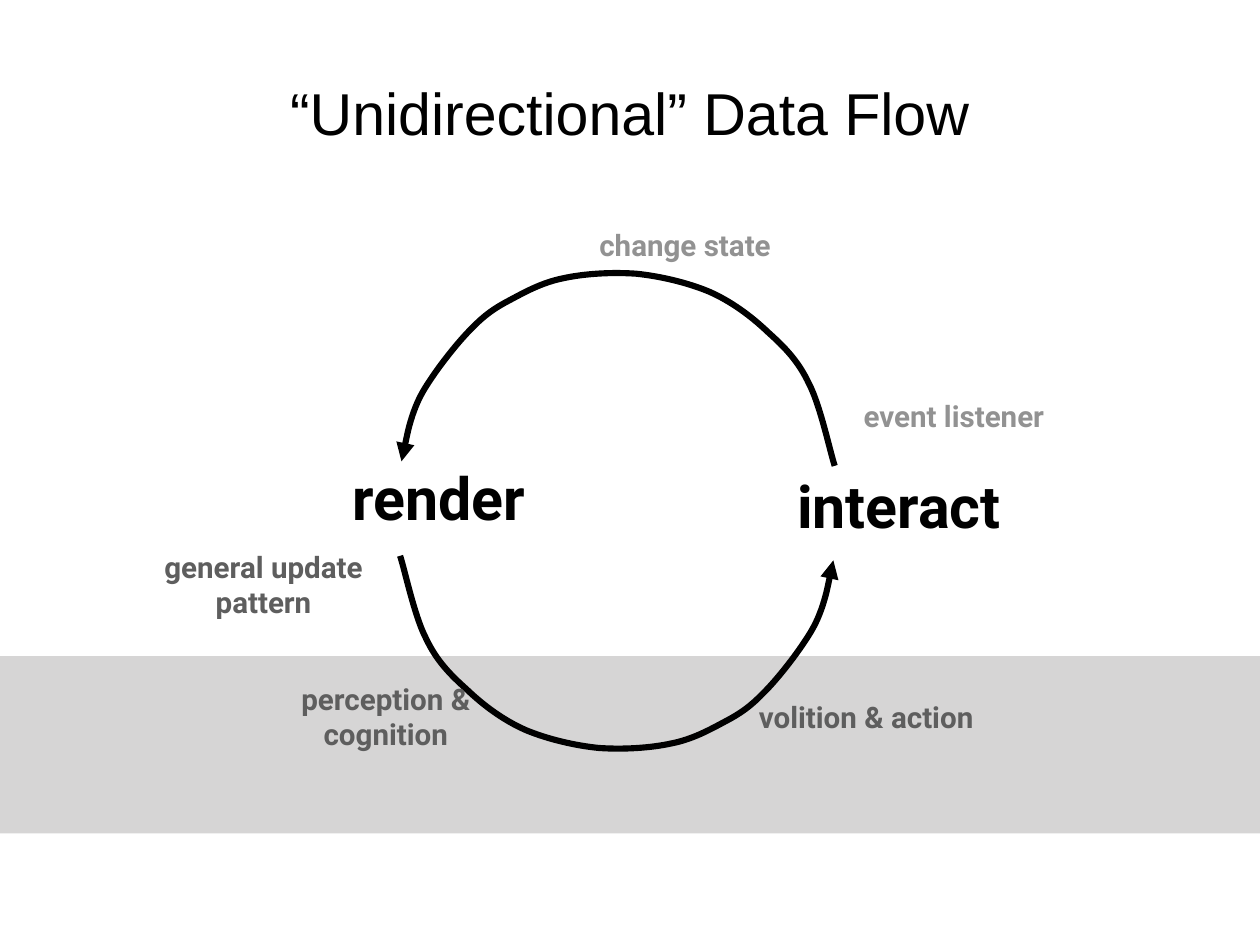
from dataclasses import dataclass

from lxml.etree import SubElement
from pptx import Presentation
from pptx.dml.color import RGBColor
from pptx.enum.shapes import MSO_SHAPE
from pptx.enum.text import MSO_ANCHOR, PP_ALIGN
from pptx.oxml.ns import qn
from pptx.slide import Slide
from pptx.util import Cm, Pt

COLORS = {
    "black": "000000",
    "band": "D6D5D5",
    "light": "929292",
    "dark": "5E5E5E",
}

Point = tuple[float, float]


@dataclass
class Label:
    text: str
    left: float
    top: float
    width: float
    height: float
    color: str = "dark"
    size: int = 24
    font: str = "Roboto"
    bold: bool = True
    inset: float = 0.15


TITLE = Label("“Unidirectional” Data Flow", 6.22, 1.8, 23.67, 2.82,
              "black", 48, "Arial", False, 0.25)

LABELS = [
    Label("render", 9.25, 12.78, 6.68, 2.95, "black", 48),
    Label("interact", 21.64, 12.78, 8.26, 3.38, "black", 48),
    Label("event listener", 23.37, 10.29, 7.95, 3.28, "light"),
    Label("change state", 15.54, 6.1, 8.2, 1.83, "light"),
    Label("perception & cognition", 6.96, 18.9, 8.2, 3.28),
    Label("general update pattern", 3.58, 14.38, 7.95, 4.75),
    Label("volition & action", 20.73, 18.9, 8.2, 3.28),
]

# Start point, then two control points and an end point per curve
UPPER_ARC: list[Point] = [
    (23.93, 13.36),
    (23.8, 12.98), (23.52, 11.63), (23.19, 11),
    (22.89, 10.36), (22.5, 9.96), (22.02, 9.53),
    (21.54, 9.07), (20.96, 8.64), (20.32, 8.36),
    (19.69, 8.1), (18.92, 7.92), (18.24, 7.85),
    (17.53, 7.8), (16.74, 7.85), (16.15, 7.98),
    (15.54, 8.1), (15.04, 8.38), (14.61, 8.61),
    (14.17, 8.84), (13.89, 9.04), (13.54, 9.4),
    (13.18, 9.75), (12.7, 10.36), (12.42, 10.77),
    (12.14, 11.18), (12.01, 11.4), (11.86, 11.81),
    (11.71, 12.24), (11.56, 13), (11.51, 13.23),
]
# The lower arc is the upper one turned by half around the cycle's centre
CENTER_X, CENTER_Y = 17.7, 14.65
LOWER_ARC = [(2 * CENTER_X - x, 2 * CENTER_Y - y) for x, y in UPPER_ARC]


def rgb(name: str) -> RGBColor:
    return RGBColor.from_string(COLORS[name])


def add_label(s: Slide, label: Label) -> None:
    box = s.shapes.add_textbox(Cm(label.left), Cm(label.top),
                               Cm(label.width), Cm(label.height))
    tf = box.text_frame
    tf.word_wrap = True
    tf.vertical_anchor = MSO_ANCHOR.MIDDLE
    tf.margin_left = tf.margin_right = Cm(label.inset)
    tf.margin_top = tf.margin_bottom = Cm(label.inset)
    p = tf.paragraphs[0]
    p.text = label.text
    p.alignment = PP_ALIGN.CENTER
    p.font.name = label.font
    p.font.size = Pt(label.size)
    p.font.bold = label.bold
    p.font.color.rgb = rgb(label.color)


def add_arc(s: Slide, points: list[Point]) -> None:
    start, *rest = [(Cm(x), Cm(y)) for x, y in points]
    builder = s.shapes.build_freeform(*start)
    builder.add_line_segments(rest, close=False)
    arc = builder.convert_to_shape()
    arc.shadow.inherit = False
    arc.fill.background()
    arc.line.color.rgb = rgb("black")
    arc.line.width = Pt(5)
    SubElement(arc.line._get_or_add_ln(), qn("a:tailEnd"), type="triangle")

    # Join every three segments into one Bézier curve
    segments = list(arc._element.iter(qn("a:lnTo")))
    for i in range(0, len(segments), 3):
        curve = SubElement(segments[i].getparent(), qn("a:cubicBezTo"))
        for segment in segments[i:i + 3]:
            curve.append(segment[0])
            segment.getparent().remove(segment)


def main() -> None:
    prs = Presentation()
    prs.slide_width, prs.slide_height = Cm(36.12), Cm(27.1)
    s = prs.slides.add_slide(prs.slide_layouts[6])

    # Title
    add_label(s, TITLE)

    # Grey band
    band = s.shapes.add_shape(MSO_SHAPE.RECTANGLE, 0, Cm(18.82),
                              prs.slide_width, Cm(5.08))
    band.shadow.inherit = False
    band.fill.solid()
    band.fill.fore_color.rgb = rgb("band")
    band.line.fill.background()

    # Cycle
    for points in (UPPER_ARC, LOWER_ARC):
        add_arc(s, points)
    for label in LABELS:
        add_label(s, label)

    prs.save("out.pptx")


if __name__ == "__main__":
    main()
